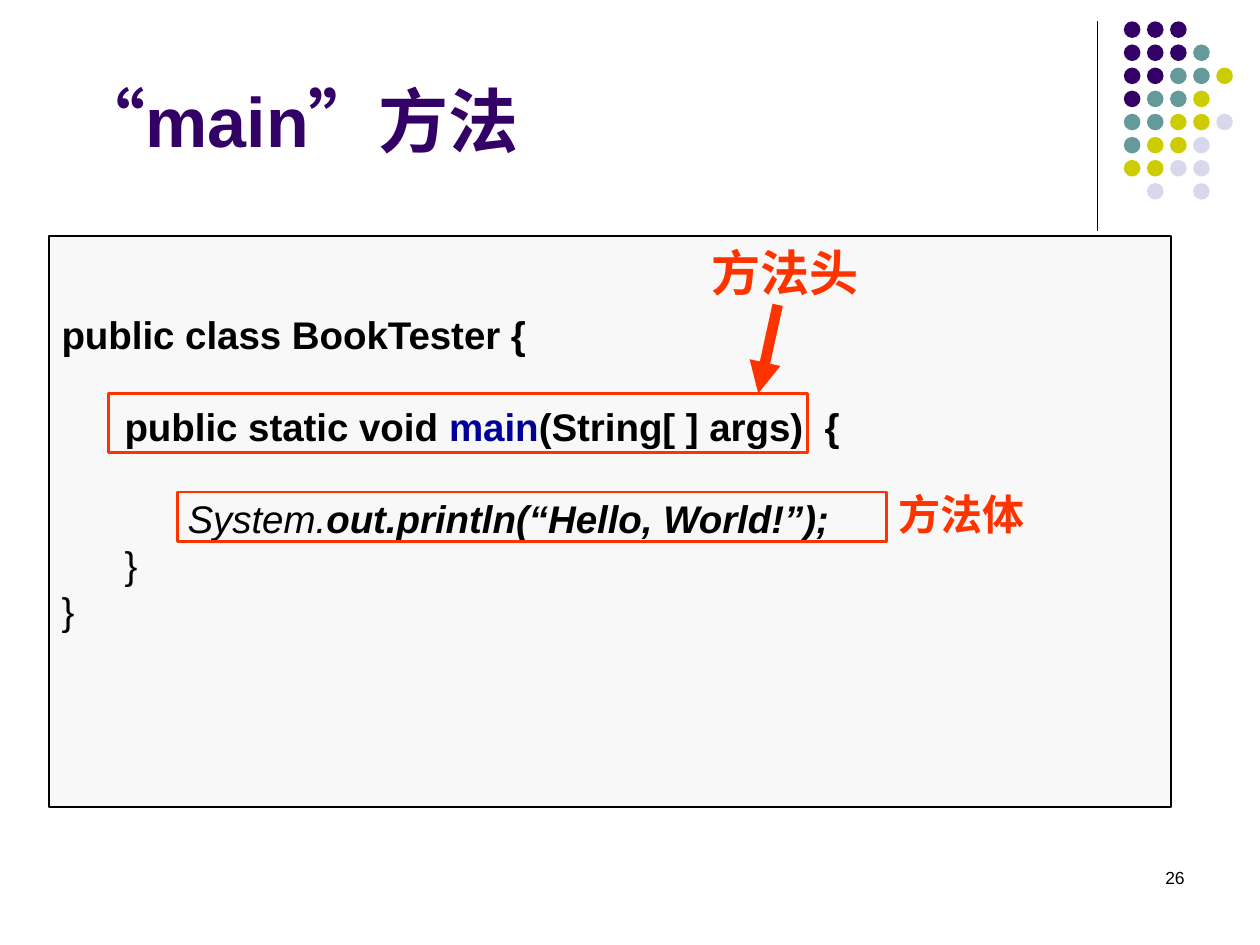
from lxml.etree import SubElement
from pptx import Presentation
from pptx.dml.color import RGBColor
from pptx.enum.shapes import MSO_CONNECTOR, MSO_SHAPE
from pptx.enum.text import MSO_ANCHOR, PP_ALIGN
from pptx.oxml.ns import qn
from pptx.util import Pt

PURPLE, RED, BLACK, NAVY = "330066", "FF3300", "000000", "000099"
DOT_COLOURS = {"P": PURPLE, "T": "669999", "Y": "CCCC00", "L": "D8D8EC"}
DOT_ROWS = ["PPP", "PPPT", "PPTTY", "PTTY", "TTYYL", "TYYL", "YYLL", " L L"]
DOT_LEFT, DOT_TOP, DOT_PITCH, DOT_SIZE = 642.2, 12.2, 13.2, 9.5
LINE_PITCH = 26.3
CODE_LINES = [
    (0, 0, [("public class BookTester {", BLACK, True, False)]),
    (36, 1, [("public static void ", BLACK, True, False),
             ("main", NAVY, True, False),
             ("(String[ ] args)  {", BLACK, True, False)]),
    (72, 1, [("System.", BLACK, False, True),
             ("out.println(“Hello, World!”);", BLACK, True, True)]),
    (36, 0, [("}", BLACK, False, False)]),
    (0, 0, [("}", BLACK, False, False)]),
]


def colour(hex_string):
    return RGBColor.from_string(hex_string)


class SlideBuilder:
    font_name = "Arial"

    def __init__(self, slide):
        self.slide = slide

    def style(self, run, size, hex_string, bold=False, italic=False):
        font = run.font
        font.name, font.size, font.bold, font.italic = self.font_name, Pt(size), bold, italic
        font.color.rgb = colour(hex_string)

    def title(self, text, left, top, width, height):
        heading = self.slide.shapes.title
        heading.left, heading.top = Pt(left), Pt(top)
        heading.width, heading.height = Pt(width), Pt(height)
        frame = heading.text_frame
        frame.text = text
        frame.vertical_anchor = MSO_ANCHOR.BOTTOM
        frame.paragraphs[0].alignment = PP_ALIGN.LEFT
        run = frame.paragraphs[0].runs[0]
        self.style(run, 40, PURPLE, bold=True)
        properties = run.font._element
        properties.set("lang", "zh-CN")
        SubElement(properties, qn("a:ea")).set("typeface", "宋体")

    def label(self, text, left, top, width, height, size, hex_string,
              bold=True, align=PP_ALIGN.LEFT):
        frame = self.slide.shapes.add_textbox(
            Pt(left), Pt(top), Pt(width), Pt(height)).text_frame
        frame.text = text
        frame.word_wrap = True
        frame.paragraphs[0].alignment = align
        self.style(frame.paragraphs[0].runs[0], size, hex_string, bold)

    def shape(self, kind, left, top, width, height, fill=None, line=None, weight=1):
        figure = self.slide.shapes.add_shape(
            kind, Pt(left), Pt(top), Pt(width), Pt(height))
        figure.shadow.inherit = False
        if fill:
            figure.fill.solid()
            figure.fill.fore_color.rgb = colour(fill)
        else:
            figure.fill.background()
        if line:
            figure.line.color.rgb = colour(line)
            figure.line.width = Pt(weight)
        else:
            figure.line.fill.background()
        return figure

    def code(self, lines, left, top, width, height):
        panel = self.shape(MSO_SHAPE.RECTANGLE, left, top, width, height, "F8F8F8", BLACK)
        frame = panel.text_frame
        frame.word_wrap = False
        frame.vertical_anchor = MSO_ANCHOR.TOP
        frame.margin_top = Pt(43)
        for index, (indent, gap_lines, pieces) in enumerate(lines):
            paragraph = frame.add_paragraph() if index else frame.paragraphs[0]
            paragraph.alignment = PP_ALIGN.LEFT
            paragraph.line_spacing = Pt(LINE_PITCH)
            paragraph.space_before = Pt(gap_lines * LINE_PITCH)
            paragraph._p.get_or_add_pPr().set("marL", str(Pt(indent)))
            for text, hex_string, bold, italic in pieces:
                run = paragraph.add_run()
                run.text = text
                self.style(run, 22, hex_string, bold, italic)

    def line(self, start, end, hex_string, weight, arrow=False):
        connector = self.slide.shapes.add_connector(
            MSO_CONNECTOR.STRAIGHT, *(Pt(value) for value in start + end))
        connector.line.color.rgb = colour(hex_string)
        connector.line.width = Pt(weight)
        if arrow:
            SubElement(connector.line._get_or_add_ln(), qn("a:tailEnd")).set("type", "triangle")
        SubElement(connector._element.spPr, qn("a:effectLst"))

    def dots(self):
        for row, pattern in enumerate(DOT_ROWS):
            for column, key in enumerate(pattern):
                if key in DOT_COLOURS:
                    self.shape(MSO_SHAPE.OVAL, DOT_LEFT + column * DOT_PITCH,
                               DOT_TOP + row * DOT_PITCH, DOT_SIZE, DOT_SIZE,
                               DOT_COLOURS[key])


def main():
    presentation = Presentation()
    presentation.slide_width, presentation.slide_height = Pt(720), Pt(540)
    builder = SlideBuilder(presentation.slides.add_slide(presentation.slide_layouts[5]))
    builder.line((627, 12), (627, 132), BLACK, 0.75)
    builder.dots()
    builder.title("“main”方法", 36, 21.6, 648, 74.2)
    builder.label("26", 516, 492, 168, 36, 10, BLACK, bold=False, align=PP_ALIGN.RIGHT)
    builder.code(CODE_LINES, 28.1, 134.8, 641.2, 326.2)
    builder.line((444.4, 174.2), (433.3, 224.8), RED, 6, arrow=True)
    builder.label("方法头", 399.4, 134.8, 102.2, 41, 28, RED)
    builder.shape(MSO_SHAPE.RECTANGLE, 62, 224.8, 399.4, 33.8, line=RED, weight=1.5)
    builder.shape(MSO_SHAPE.RECTANGLE, 101.4, 281.2, 405.2, 28.2, line=RED, weight=1.5)
    builder.label("方法体", 506.2, 275.8, 90, 36, 24, RED)
    presentation.save("out.pptx")


if __name__ == "__main__":
    main()
